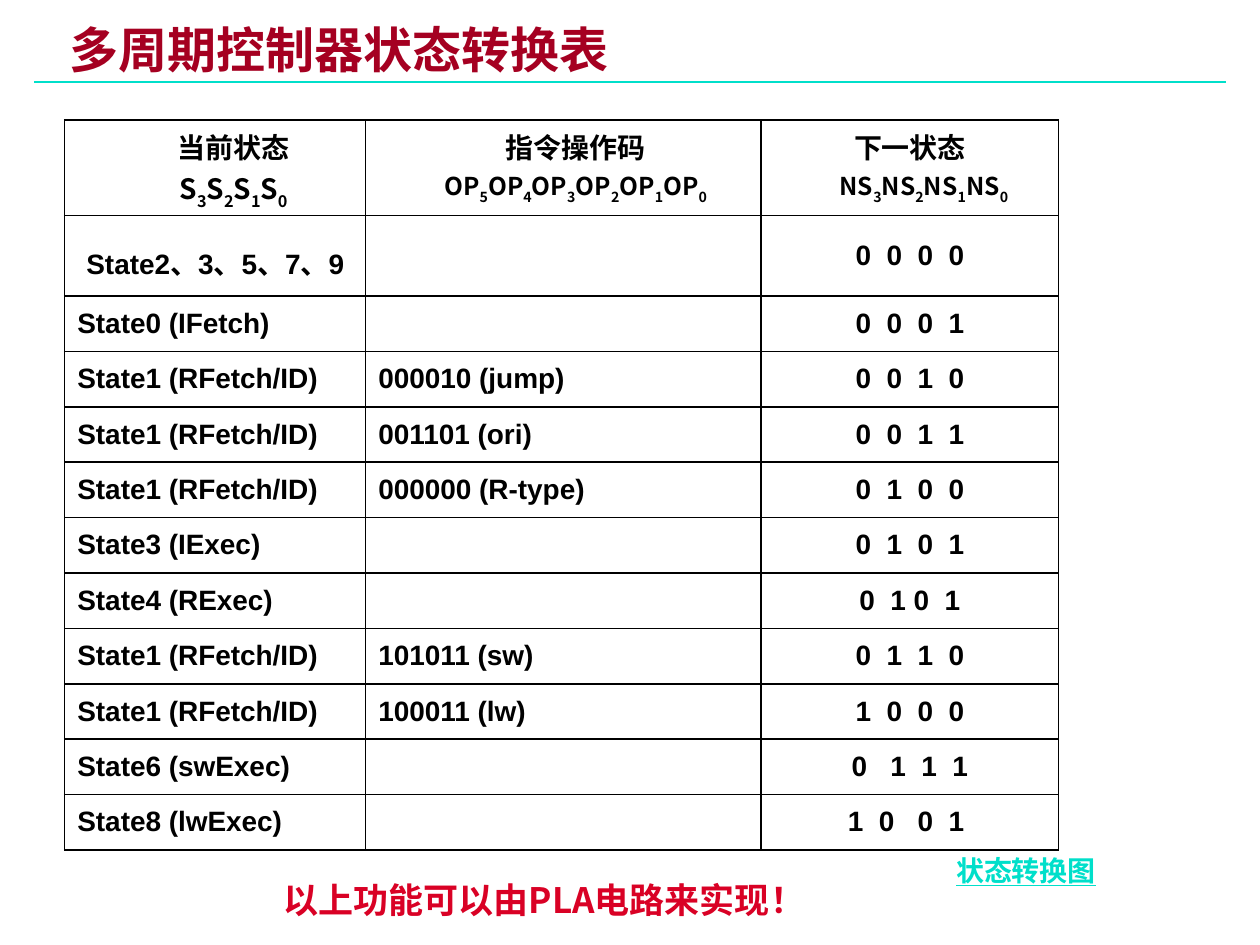
import pptx
import pptx.util
import pptx.dml.color
import pptx.enum.shapes
import pptx.enum.text
import pptx.oxml
import pptx.oxml.ns

Pt = pptx.util.Pt
CENTER = pptx.enum.text.PP_ALIGN.CENTER
LEFT = pptx.enum.text.PP_ALIGN.LEFT
MIDDLE = pptx.enum.text.MSO_ANCHOR.MIDDLE
CJK_FONT = "Noto Sans CJK SC"


def color(hex_string):
    return pptx.dml.color.RGBColor.from_string(hex_string)


def add_text(paragraph, text, hex_string, **font_values):
    run = paragraph.add_run()
    run.text = text
    run.font.color.rgb = color(hex_string)
    for name, value in {"bold": True, "name": "Arial", **font_values}.items():
        setattr(run.font, name, value)
    east_asian = pptx.oxml.parse_xml(f'<a:ea {pptx.oxml.ns.nsdecls("a")} typeface="{CJK_FONT}"/>')
    run.font._element.find(pptx.oxml.ns.qn("a:latin")).addnext(east_asian)
    return run


presentation = pptx.Presentation()
presentation.slide_width = Pt(720)
presentation.slide_height = Pt(540)
slide = presentation.slides.add_slide(presentation.slide_layouts[5])

rule = slide.shapes.add_connector(
    pptx.enum.shapes.MSO_CONNECTOR.STRAIGHT, Pt(19.5), Pt(46.8), Pt(700.5), Pt(46.8))
rule.line.color.rgb = color("00DFCA")
rule.line.width = Pt(1.5)
rule._element.spPr.append(pptx.oxml.parse_xml(f'<a:effectLst {pptx.oxml.ns.nsdecls("a")}/>'))

title = slide.shapes.title
title_format = {"left": Pt(35), "top": Pt(13.6), "width": Pt(590), "height": Pt(33)}
for name, value in title_format.items():
    setattr(title, name, value)
frame_format = {
    "margin_left": Pt(5), "margin_right": Pt(5), "margin_top": Pt(2), "margin_bottom": Pt(2),
    "vertical_anchor": MIDDLE, "word_wrap": True, "auto_size": pptx.enum.text.MSO_AUTO_SIZE.NONE,
}
for name, value in frame_format.items():
    setattr(title.text_frame, name, value)
paragraph = title.text_frame.paragraphs[0]
paragraph.alignment = LEFT
paragraph.line_spacing = 0.87
add_text(paragraph, "多周期控制器状态转换表", "A50021", size=Pt(28))

headers = [
    ("当前状态", "S", 4, 16, (5, 5)),
    ("指令操作码", "OP", 6, 14, (-2, -2)),
    ("下一状态", "NS", 4, 14, (-25, 0)),
]
transitions = [
    ("State2、3、5、7、9", "", "0  0  0  0"),
    ("State0 (IFetch)", "", "0  0  0  1"),
    ("State1 (RFetch/ID)", "000010 (jump)", "0  0  1  0"),
    ("State1 (RFetch/ID)", "001101 (ori)", "0  0  1  1"),
    ("State1 (RFetch/ID)", "000000 (R-type)", "0  1  0  0"),
    ("State3 (IExec)", "", "0  1  0  1"),
    ("State4 (RExec)", "", "0  1 0  1"),
    ("State1 (RFetch/ID)", "101011 (sw)", "0  1  1  0"),
    ("State1 (RFetch/ID)", "100011 (lw)", "1  0  0  0"),
    ("State6 (swExec)", "", "0   1  1  1"),
    ("State8 (lwExec)", "", "1  0   0  1 "),
]
column_widths = [172, 226, 170]
row_heights = [54.6] + [31.68] * len(transitions)
table = slide.shapes.add_table(
    len(row_heights), len(column_widths), Pt(37), Pt(68.6),
    Pt(sum(column_widths)), Pt(sum(row_heights))).table
table.first_row = False
table.horz_banding = False
for column, width in zip(table.columns, column_widths):
    column.width = Pt(width)
for row, height in zip(table.rows, row_heights):
    row.height = Pt(height)

for cell in table.iter_cells():
    cell.fill.background()
    for position, side in enumerate(["lnL", "lnR", "lnT", "lnB"]):
        cell._tc.tcPr.insert(position, pptx.oxml.parse_xml(
            f'<a:{side} {pptx.oxml.ns.nsdecls("a")} w="{Pt(1)}">'
            f'<a:solidFill><a:srgbClr val="000000"/></a:solidFill></a:{side}>'))

for column, (heading, signal, bits, size, indents) in enumerate(headers):
    cell = table.cell(0, column)
    cell.margin_bottom = Pt(1)
    lines = [cell.text_frame.paragraphs[0], cell.text_frame.add_paragraph()]
    for paragraph, indent in zip(lines, indents):
        paragraph.alignment = CENTER
        properties = paragraph._p.get_or_add_pPr()
        properties.set("marL", str(Pt(16)))
        properties.set("indent", str(Pt(indent)))
    add_text(lines[0], heading, "000000", size=Pt(16), name=CJK_FONT)
    for bit in reversed(range(bits)):
        add_text(lines[1], signal, "000000", size=Pt(size), name=CJK_FONT)
        subscript = add_text(lines[1], str(bit), "000000", size=Pt(size), name=CJK_FONT)
        subscript.font._element.set("baseline", "-30000")

for row, transition in enumerate(transitions, start=1):
    for column, text in enumerate(transition):
        cell = table.cell(row, column)
        cell.vertical_anchor = MIDDLE
        if not text:
            continue
        paragraph = cell.text_frame.paragraphs[0]
        paragraph.alignment = CENTER if column == 2 or row == 1 else LEFT
        properties = paragraph._p.get_or_add_pPr()
        properties.set("marL", str(Pt(16)))
        properties.set("indent", str(Pt(-16)))
        add_text(paragraph, text, "000000", size=Pt(16))
table.cell(1, 0).margin_bottom = Pt(-3.8)

captions = [
    ("以上功能可以由PLA电路来实现！", (154.8, 498.7, 426.2, 31), "D90125",
     {"size": Pt(20), "name": CJK_FONT}),
    ("状态转换图", (539.3, 483.8, 118, 26.6), "00DFCA", {"size": Pt(16), "underline": True}),
]
for text, box, hex_string, font_values in captions:
    frame = slide.shapes.add_textbox(*map(Pt, box)).text_frame
    frame.word_wrap = True
    frame.vertical_anchor = MIDDLE
    add_text(frame.paragraphs[0], text, hex_string, **font_values)

presentation.save("out.pptx")
